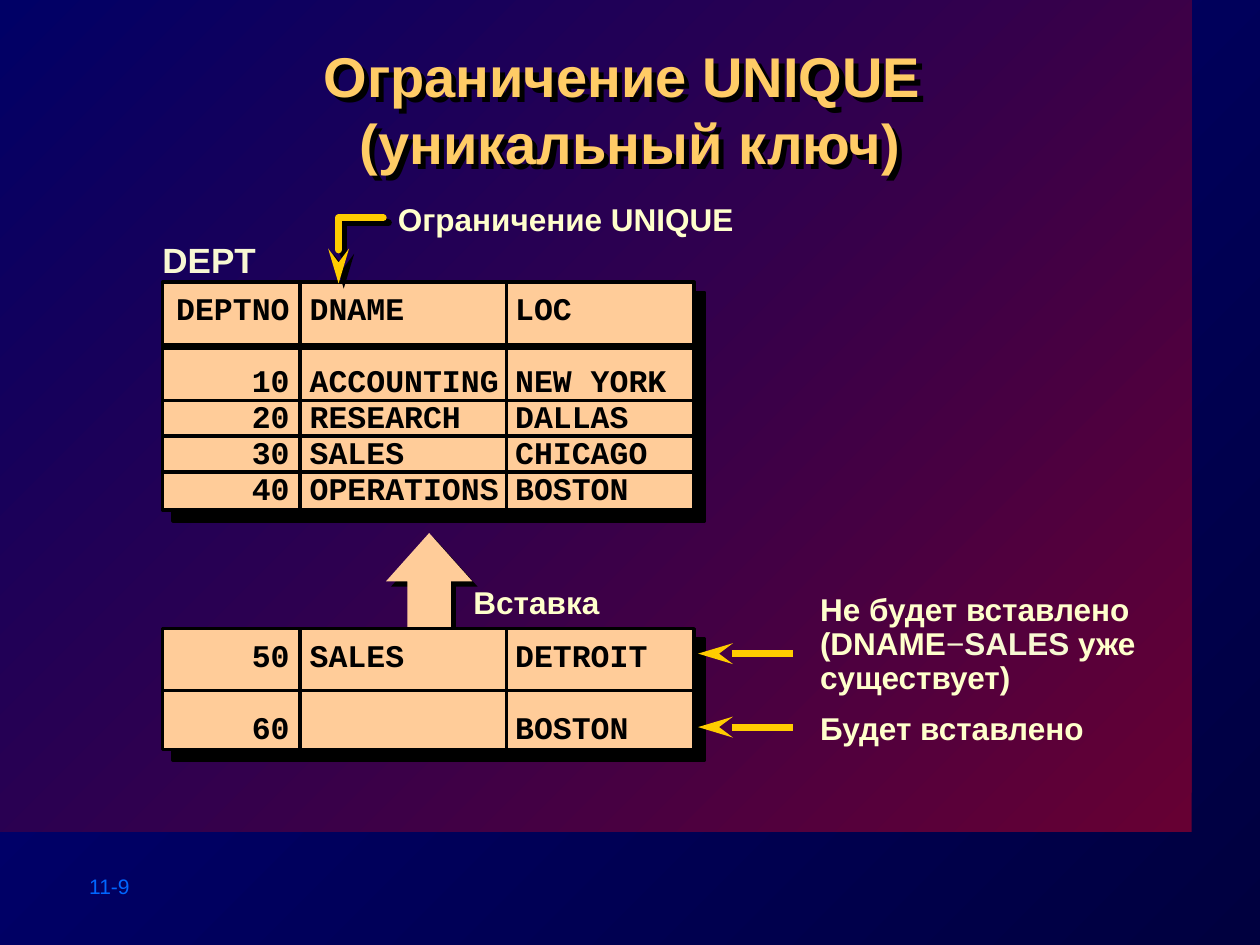
from dataclasses import dataclass
from lxml.etree import SubElement
from pptx import Presentation
from pptx.dml.color import RGBColor
from pptx.enum.shapes import MSO_CONNECTOR as Connector, MSO_SHAPE as Preset
from pptx.enum.text import PP_ALIGN as Align
from pptx.oxml.ns import qn
from pptx.util import Pt


def rgb(value):
    return RGBColor.from_string(value)


@dataclass
class Canvas:
    slide: object
    sans: str = "Arial"
    mono: str = "Courier New"
    black: str = "000000"
    peach: str = "FFCC99"
    cream: str = "FFFFCC"
    ivory: str = "F8F8D3"
    gold: str = "FFCC00"

    def gradient(self, fill, start, end):
        fill.gradient()
        fill.gradient_angle = 135
        for stop, color in zip(fill.gradient_stops, (start, end)):
            stop.color.rgb = rgb(color)

    def shadow(self, shape, distance):
        shape.shadow.inherit = False
        effects = shape._element.spPr.find(qn("a:effectLst"))
        outer = SubElement(effects, qn("a:outerShdw"), blurRad="0",
                           dist=str(Pt(distance)), dir="2700000", algn="ctr", rotWithShape="0")
        SubElement(outer, qn("a:srgbClr"), val=self.black)

    def stroke(self, line, color, width):
        line.color.rgb = rgb(color)
        line.width = Pt(width)

    def arrowhead(self, line, end):
        SubElement(line._get_or_add_ln(), qn(f"a:{end}"), type="stealth", w="med", len="lg")

    def block(self, preset, left, top, width, height, shadow=0, outline=0):
        shape = self.slide.shapes.add_shape(preset, Pt(left), Pt(top), Pt(width), Pt(height))
        shape.shadow.inherit = False
        shape.fill.solid()
        shape.fill.fore_color.rgb = rgb(self.peach)
        if outline:
            self.stroke(shape.line, self.black, outline)
        else:
            shape.line.fill.background()
        if shadow:
            self.shadow(shape, shadow)
        return shape

    def line(self, x1, y1, x2, y2, color=None, width=2, head=False):
        link = self.slide.shapes.add_connector(
            Connector.STRAIGHT, Pt(x1), Pt(y1), Pt(x2), Pt(y2))
        self.stroke(link.line, color or self.black, width)
        if head:
            self.arrowhead(link.line, "headEnd")
        SubElement(link._element.spPr, qn("a:effectLst"))

    def bent_arrow(self, start, *points):
        builder = self.slide.shapes.build_freeform(Pt(start[0]), Pt(start[1]), scale=1.0)
        builder.add_line_segments([(Pt(x), Pt(y)) for x, y in points], close=False)
        arrow = builder.convert_to_shape()
        arrow.fill.background()
        self.stroke(arrow.line, self.gold, 4)
        ln = arrow.line._get_or_add_ln()
        ln.set("cap", "rnd")
        SubElement(ln, qn("a:round"))
        self.arrowhead(arrow.line, "tailEnd")
        self.shadow(arrow, 4.2)

    def text(self, left, top, width, height, lines, size=18, color=None, font=None,
             bold=True, spacing=None, align=None, wrap=True, gap=0, tabs=()):
        box = self.slide.shapes.add_textbox(Pt(left), Pt(top), Pt(width), Pt(height))
        frame = box.text_frame
        frame.word_wrap = wrap
        for index, content in enumerate(lines):
            paragraph = frame.add_paragraph() if index else frame.paragraphs[0]
            paragraph.text = content
            paragraph.alignment = align
            if spacing:
                paragraph.line_spacing = spacing
            if gap and index:
                paragraph.space_before = Pt(gap)
            if tabs:
                stops = SubElement(paragraph._p.get_or_add_pPr(), qn("a:tabLst"))
                for position, side in tabs:
                    SubElement(stops, qn("a:tab"), pos=str(Pt(position)), algn=side)
            style = paragraph.font
            style.name = font or self.sans
            style.size = Pt(size)
            style.bold = bold
            style.color.rgb = rgb(color or self.cream)
        return box

    def grid(self, top, height, rows, rules, gap=0):
        self.block(Preset.RECTANGLE, 92.9, top, 303.8, height, shadow=8.5, outline=2)
        self.text(93.6, top + 2.1, 302.4, height, ["\t" + "\t".join(row) for row in rows],
                  color=self.black, font=self.mono, spacing=0.95, gap=gap,
                  tabs=((64.8, "r"), (76.3, "l"), (193.7, "l")))
        for y, width in rules:
            self.line(92.2, y, 398.2, y, width=width)
        for x in (171.4, 289.4):
            self.line(x, top, x, top + height + 3.5)


def main():
    deck = Presentation()
    deck.slide_width, deck.slide_height = Pt(720), Pt(540)
    canvas = Canvas(deck.slides.add_slide(deck.slide_layouts[6]))
    canvas.gradient(canvas.slide.background.fill, "00003F", "000080")
    panel = canvas.block(Preset.RECTANGLE, 0, 0, 681, 475.4)
    canvas.gradient(panel.fill, "660033", "000066")

    canvas.text(43.9, 495.4, 86.4, 21.6, ["11-9"], size=12, color="0066FF",
                bold=False, wrap=False)
    title = canvas.text(72.7, 20.2, 574.6, 69.1, ["Ограничение UNIQUE \v(уникальный ключ)"],
                        size=32, color="FFCC66", align=Align.CENTER)
    canvas.shadow(title, 4.2)

    canvas.text(85.7, 132.5, 73.4, 31, ["DEPT"], size=20, color=canvas.ivory, wrap=False)
    departments = [
        ("DEPTNO", "DNAME", "LOC"),
        ("------", "----------", "--------"),
        ("10", "ACCOUNTING", "NEW YORK"),
        ("20", "RESEARCH", "DALLAS"),
        ("30", "SALES", "CHICAGO"),
        ("40", "OPERATIONS", "BOSTON"),
    ]
    canvas.grid(161.3, 130.3, departments, [(198, 4), (229, 2), (249.3, 2), (269.8, 2)])
    canvas.text(220.3, 113, 231.1, 26.6, ["Ограничение UNIQUE"], spacing=0.9)
    canvas.bent_arrow((219, 124.4), (193.5, 124.4), (193.5, 162))

    insertion = canvas.block(Preset.UP_ARROW, 220.5, 304.6, 49.5, 55.4, shadow=4.2)
    insertion.adjustments[0], insertion.adjustments[1] = 0.5, 0.56
    canvas.grid(359.3, 69.1, [("50", "SALES", "DETROIT"), ("60", "", "BOSTON")],
                [(394.6, 2)], gap=20.5)
    canvas.text(263.5, 331.9, 204.5, 26.6, ["Вставка"], spacing=0.9)

    rejected = canvas.text(461.5, 336.2, 215.3, 65.5, ["Не будет вставлено (DNAME"], spacing=0.9)
    reason = rejected.text_frame.paragraphs[0]
    for content, color, bold in (("−", canvas.ivory, False), ("SALES ", canvas.ivory, True),
                                 ("уже существует)", canvas.cream, True)):
        run = reason.add_run()
        run.text = content
        run.font.bold = bold
        run.font.color.rgb = rgb(color)
    canvas.text(461.5, 403.9, 215.3, 26.6, ["Будет вставлено"], spacing=0.9)
    for y in (373.5, 415.5):
        canvas.line(398.9, y, 452.9, y, color=canvas.gold, width=4, head=True)

    deck.save("out.pptx")


if __name__ == "__main__":
    main()
